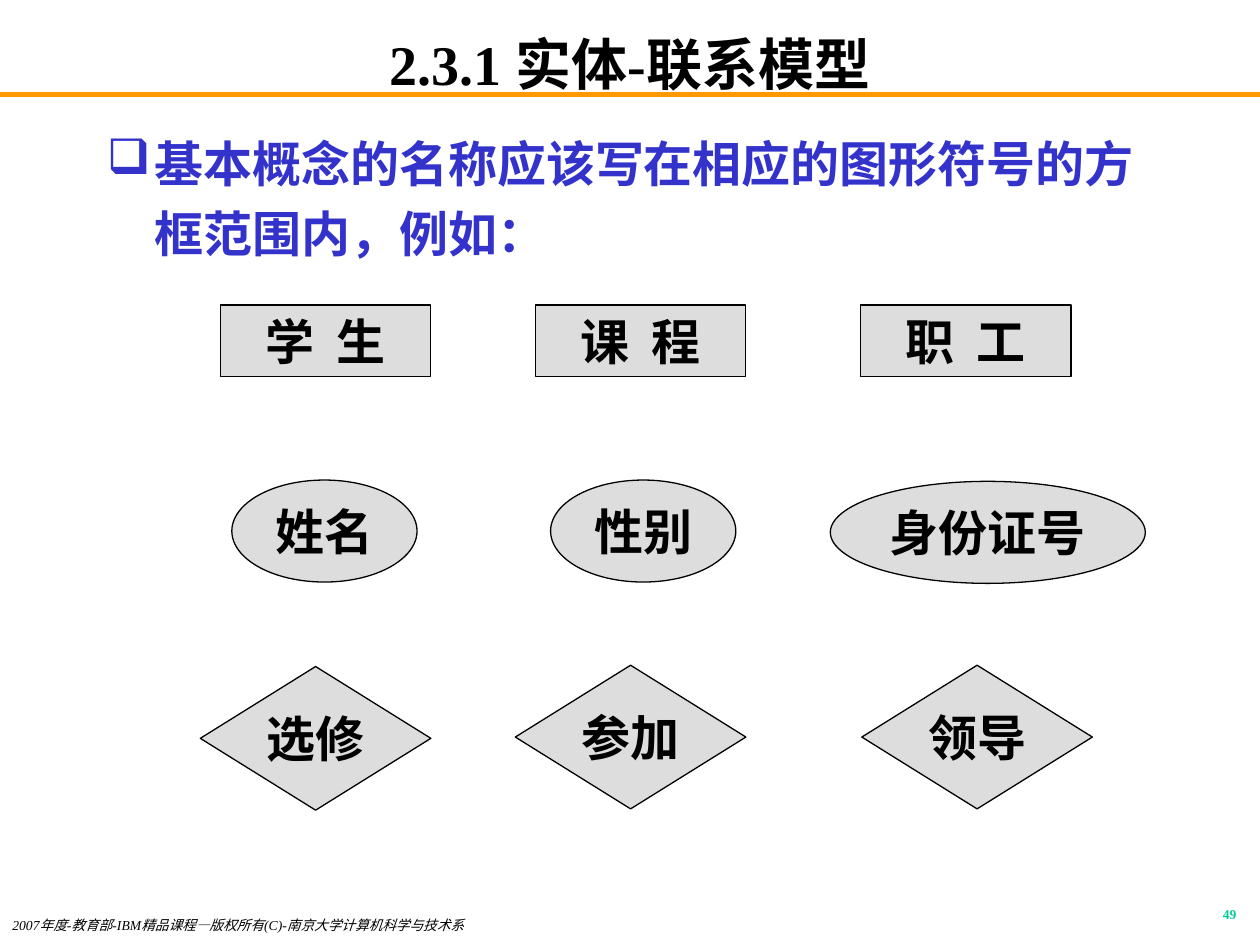
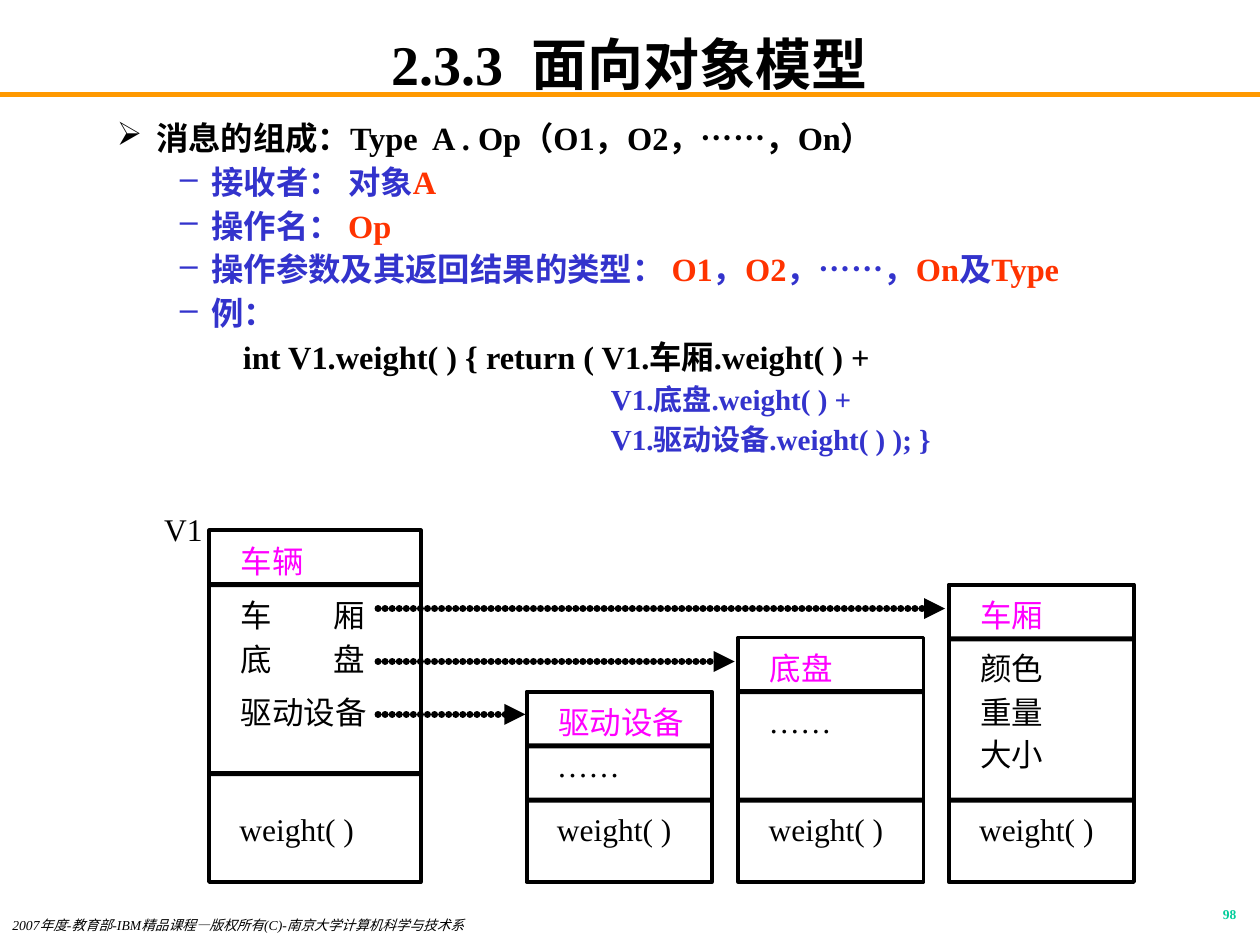
from lxml import etree
from pptx import Presentation
from pptx.dml.color import RGBColor
from pptx.enum.shapes import MSO_CONNECTOR, MSO_SHAPE
from pptx.enum.text import MSO_ANCHOR, PP_ALIGN
from pptx.oxml.ns import qn
from pptx.util import Inches, Pt

BLACK = RGBColor(0x00, 0x00, 0x00)
WHITE = RGBColor(0xFF, 0xFF, 0xFF)
ORANGE = RGBColor(0xFF, 0x99, 0x00)
BLUE = RGBColor(0x33, 0x33, 0xCC)
RED = RGBColor(0xFF, 0x33, 0x00)
GREEN = RGBColor(0x00, 0xCC, 0x99)
GREY = RGBColor(0xDD, 0xDD, 0xDD)
MAGENTA = RGBColor(0xFF, 0x00, 0xFF)
SERIF = "Times New Roman"
SANS = "Noto Sans CJK SC"

FOOTER = "2007年度-教育部-IBM精品课程—版权所有(C)-南京大学计算机科学与技术系"

ER_INTRO = [
    dict(spans=[("基本概念的名称应该写在相应的图形符号的方框范围内，例如：", BLUE)],
         size=28, margin=0.38, hang=-0.38, bullet="❑", line=40),
]
# preset shape, side inset, then (text, left, top, width, height)
ER_SYMBOLS = [
    (MSO_SHAPE.RECTANGLE, 0.1, [
        ("学  生", 1.75, 2.42, 1.67, 0.57),
        ("课  程", 4.25, 2.42, 1.67, 0.57),
        ("职  工", 6.83, 2.42, 1.67, 0.57)]),
    (MSO_SHAPE.OVAL, 0.1, [
        ("姓名", 1.84, 3.81, 1.47, 0.81),
        ("性别", 4.37, 3.81, 1.47, 0.81),
        ("身份证号", 6.59, 3.82, 2.5, 0.81)]),
    (MSO_SHAPE.FLOWCHART_DECISION, 0.04, [
        ("选修", 1.59, 5.29, 1.83, 1.14),
        ("参加", 4.09, 5.28, 1.83, 1.14),
        ("领导", 6.84, 5.28, 1.83, 1.14)]),
]

HEADING = dict(size=18.5, margin=0.81, hang=-0.31, bullet="➢", line=20)
ITEM = dict(size=18.5, margin=1.25, hang=-0.25, bullet="–", line=20, before=5)
CODE = dict(size=18.5, margin=1.5, hang=0, line=20, before=5)
CODE_REST = dict(size=16.6, margin=4.42, hang=0, line=18.4, before=4.5)
MESSAGE_PARTS = [
    dict(HEADING, spans=[("消息的组成：Type  A . Op（O1，O2，……，On）", BLACK)]),
    dict(ITEM, spans=[("接收者： 对象", BLUE), ("A", RED)]),
    dict(ITEM, spans=[("操作名： ", BLUE), ("Op", RED)]),
    dict(ITEM, spans=[("操作参数及其返回结果的类型： ", BLUE), ("O1", RED), ("，", BLUE),
                      ("O2", RED), ("，……，", BLUE), ("On", RED), ("及", BLUE),
                      ("Type", RED)]),
    dict(ITEM, spans=[("例：", BLUE)]),
    dict(CODE, spans=[("int V1.weight( ) { return ( V1.车厢.weight( ) +", BLACK)]),
    dict(CODE_REST, spans=[("V1.底盘.weight( ) +", BLUE)]),
    dict(CODE_REST, spans=[("V1.驱动设备.weight( ) ); }", BLUE)]),
]

# members are (text, offset from the class box, top)
CLASSES = [
    dict(name="车辆", left=1.66, top=4.21, width=1.68, method_bar=6.12, members=[
        ("车", 0.25, 4.73), ("厢", 0.99, 4.73), ("底", 0.25, 5.08), ("盘", 0.99, 5.08),
        ("驱动设备", 0.25, 5.5)]),
    dict(name="驱动设备", left=4.18, top=5.49, width=1.47, method_bar=6.33,
         members=[("……", 0.24, 5.92)]),
    dict(name="底盘", left=5.86, top=5.06, width=1.47, method_bar=6.33,
         members=[("……", 0.24, 5.57)]),
    dict(name="车厢", left=7.53, top=4.64, width=1.47, method_bar=6.33, members=[
        ("颜色", 0.25, 5.15), ("重量", 0.25, 5.5), ("大小", 0.25, 5.83)]),
]
CLASS_BOTTOM = 7
BAR_HEIGHT = 0.04
ARROW_LEFT = 3
ARROWS = [(7.5, 4.83), (5.83, 5.25), (4.17, 5.67)]  # right end, height


def apply(target, values):
    for name, value in values.items():
        setattr(target, name, value)


def add_span(para, text, color, size, name=SERIF, **styles):
    span = para.add_run()
    span.text = text
    apply(span.font, dict(name=name, size=Pt(size), **styles))
    span.font.color.rgb = color
    if name == SANS:
        east_asian = etree.SubElement(span.font._element, qn("a:ea"))
        east_asian.set("typeface", SANS)


def set_frame(frame, side, upright, **values):
    apply(frame, dict(margin_left=Inches(side), margin_right=Inches(side),
                      margin_top=Inches(upright), margin_bottom=Inches(upright),
                      **values))


def add_text(page, area, text, color, size, side=0.1, upright=0.05, wrap=True,
             anchor=MSO_ANCHOR.TOP, align=PP_ALIGN.LEFT, spacing=1, **styles):
    box = page.shapes.add_textbox(*map(Inches, area))
    set_frame(box.text_frame, side, upright, word_wrap=wrap, vertical_anchor=anchor)
    para = box.text_frame.paragraphs[0]
    apply(para, dict(alignment=align, line_spacing=spacing))
    add_span(para, text, color, size, **styles)


def add_line(page, start, end, color, width):
    line = page.shapes.add_connector(MSO_CONNECTOR.STRAIGHT, *map(Inches, start + end))
    line.line.color.rgb = color
    line.line.width = Pt(width)
    etree.SubElement(line._element.spPr, qn("a:effectLst"))
    return line


def add_shape(page, preset, area, fill, outline=0):
    shape = page.shapes.add_shape(preset, *map(Inches, area))
    shape.shadow.inherit = False
    shape.fill.solid()
    shape.fill.fore_color.rgb = fill
    if outline:
        shape.line.color.rgb = BLACK
        shape.line.width = Pt(outline)
    else:
        shape.line.fill.background()
    return shape


def add_page(deck, title, number):
    """Add a slide with the shared rule, title, footer and page number."""
    page = deck.slides.add_slide(deck.slide_layouts[6])
    add_line(page, (0, 0.75), (10, 0.75), ORANGE, 3)
    add_text(page, (0.75, 0.25, 8.5, 0.5), title, BLACK, 32, upright=0,
             anchor=MSO_ANCHOR.MIDDLE, align=PP_ALIGN.CENTER, bold=True)
    add_text(page, (0, 7.25, 5.5, 0.25), FOOTER, BLACK, 7.8, spacing=0.8, italic=True)
    add_text(page, (7.83, 7.17, 2.08, 0.25), number, GREEN, 7.7, spacing=0.8,
             align=PP_ALIGN.RIGHT, bold=True)
    return page


def add_outline(page, area, items):
    """Add a text box of indented paragraphs, bulleted where an item has a bullet."""
    box = page.shapes.add_textbox(*map(Inches, area))
    frame = box.text_frame
    set_frame(frame, 0.1, 0.05, word_wrap=True)
    for index, item in enumerate(items):
        para = frame.add_paragraph() if index else frame.paragraphs[0]
        apply(para, dict(line_spacing=Pt(item["line"]),
                         space_before=Pt(item.get("before", 0))))
        properties = para._p.get_or_add_pPr()
        properties.set("marL", str(Inches(item["margin"])))
        properties.set("indent", str(Inches(item["hang"])))
        if "bullet" in item:
            bullet_color = etree.SubElement(properties, qn("a:buClr"))
            etree.SubElement(bullet_color, qn("a:srgbClr")).set("val", str(item["spans"][0][1]))
            etree.SubElement(properties, qn("a:buChar")).set("char", item["bullet"])
        for text, color in item["spans"]:
            add_span(para, text, color, item["size"], bold=True)


def add_symbol(page, preset, side, text, area):
    symbol = add_shape(page, preset, area, GREY, 0.75)
    set_frame(symbol.text_frame, side, 0.05, word_wrap=True,
              vertical_anchor=MSO_ANCHOR.MIDDLE)
    para = symbol.text_frame.paragraphs[0]
    para.alignment = PP_ALIGN.CENTER
    add_span(para, text, BLACK, 28, bold=True)


def add_label(page, text, left, top, color=BLACK):
    latin = text.isascii() or text == "……"
    width = {"V1": 0.31, "weight( )": 0.91}.get(text, 0.25 * len(text))
    add_text(page, (left, top, width, 0.3), text, color, 18, side=0, upright=0,
             wrap=False, anchor=MSO_ANCHOR.MIDDLE, align=PP_ALIGN.CENTER,
             name=SERIF if latin else SANS)


def add_class(page, name, left, top, width, method_bar, members):
    add_shape(page, MSO_SHAPE.RECTANGLE, (left, top, width, CLASS_BOTTOM - top), WHITE, 2.25)
    for bar_top in (top + 0.41, method_bar):
        add_shape(page, MSO_SHAPE.RECTANGLE, (left, bar_top, width, BAR_HEIGHT), BLACK)
    add_label(page, name, left + 0.25, top + 0.09, MAGENTA)
    for text, offset, member_top in members:
        add_label(page, text, left + offset, member_top)
    add_label(page, "weight( )", left + 0.24, 6.43)


def add_dotted_arrow(page, right, height):
    arrow = add_line(page, (ARROW_LEFT, height), (right, height), BLACK, 4)
    stroke = arrow.line._get_or_add_ln()
    stroke.set("cap", "rnd")
    dashes = etree.SubElement(stroke, qn("a:custDash"))
    apply_dash = etree.SubElement(dashes, qn("a:ds"))
    apply_dash.set("d", "1000")
    apply_dash.set("sp", "100000")
    etree.SubElement(stroke, qn("a:round"))
    head = etree.SubElement(stroke, qn("a:tailEnd"))
    head.set("type", "triangle")


def build_er_page(deck):
    page = add_page(deck, "2.3.1 实体-联系模型", "49")
    add_outline(page, (0.75, 0.92, 8.5, 1.42), ER_INTRO)
    for preset, side, symbols in ER_SYMBOLS:
        for text, *area in symbols:
            add_symbol(page, preset, side, text, area)


def build_object_page(deck):
    page = add_page(deck, "2.3.3  面向对象模型", "98")
    add_outline(page, (0.33, 0.92, 8.92, 3.33), MESSAGE_PARTS)
    add_label(page, "V1", 1.3, 4.05)
    for parts in CLASSES:
        add_class(page, **parts)
    for right, height in ARROWS:
        add_dotted_arrow(page, right, height)


def main():
    deck = Presentation()
    deck.slide_width, deck.slide_height = Inches(10), Inches(7.5)
    build_er_page(deck)
    build_object_page(deck)
    deck.save("out.pptx")


if __name__ == "__main__":
    main()
